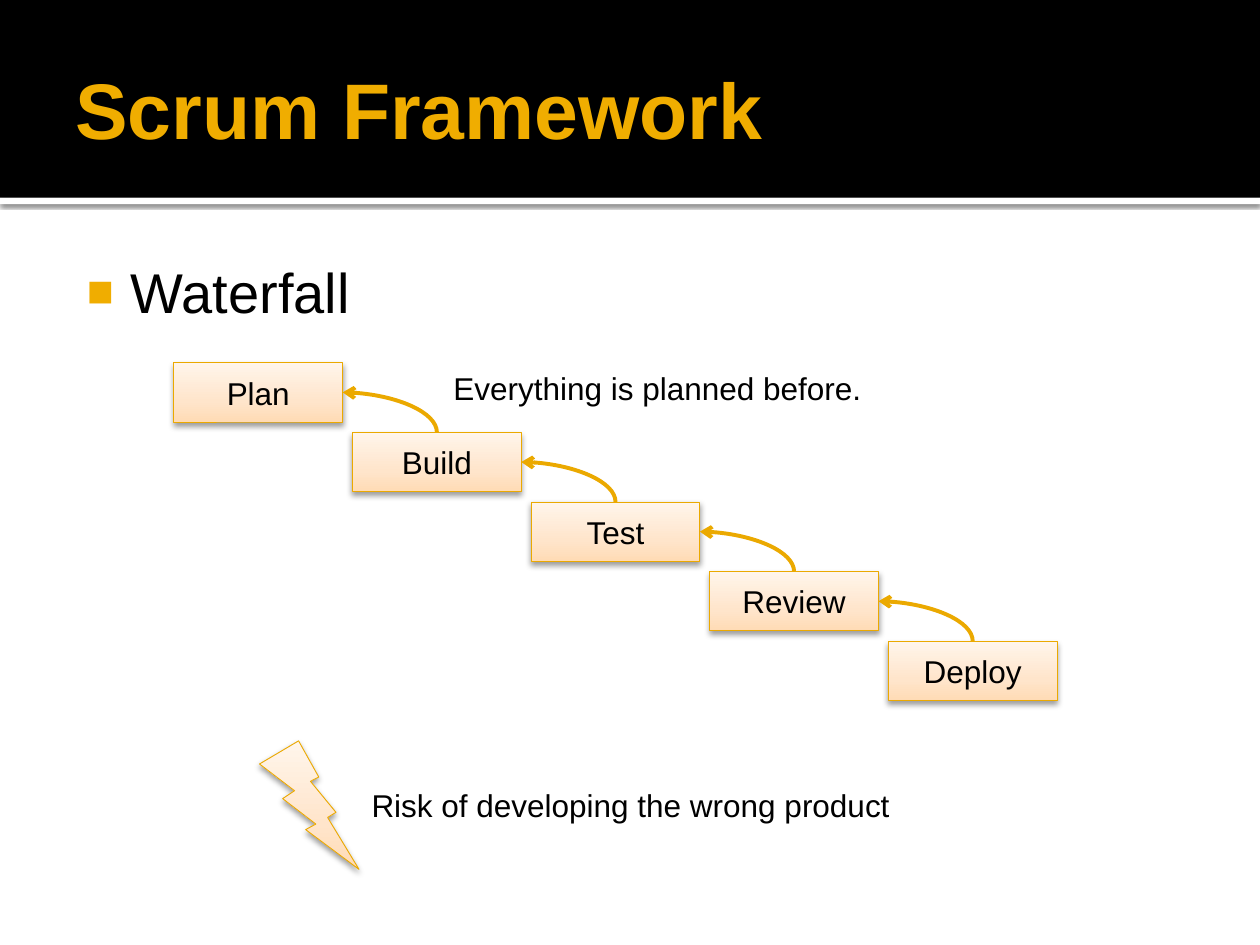
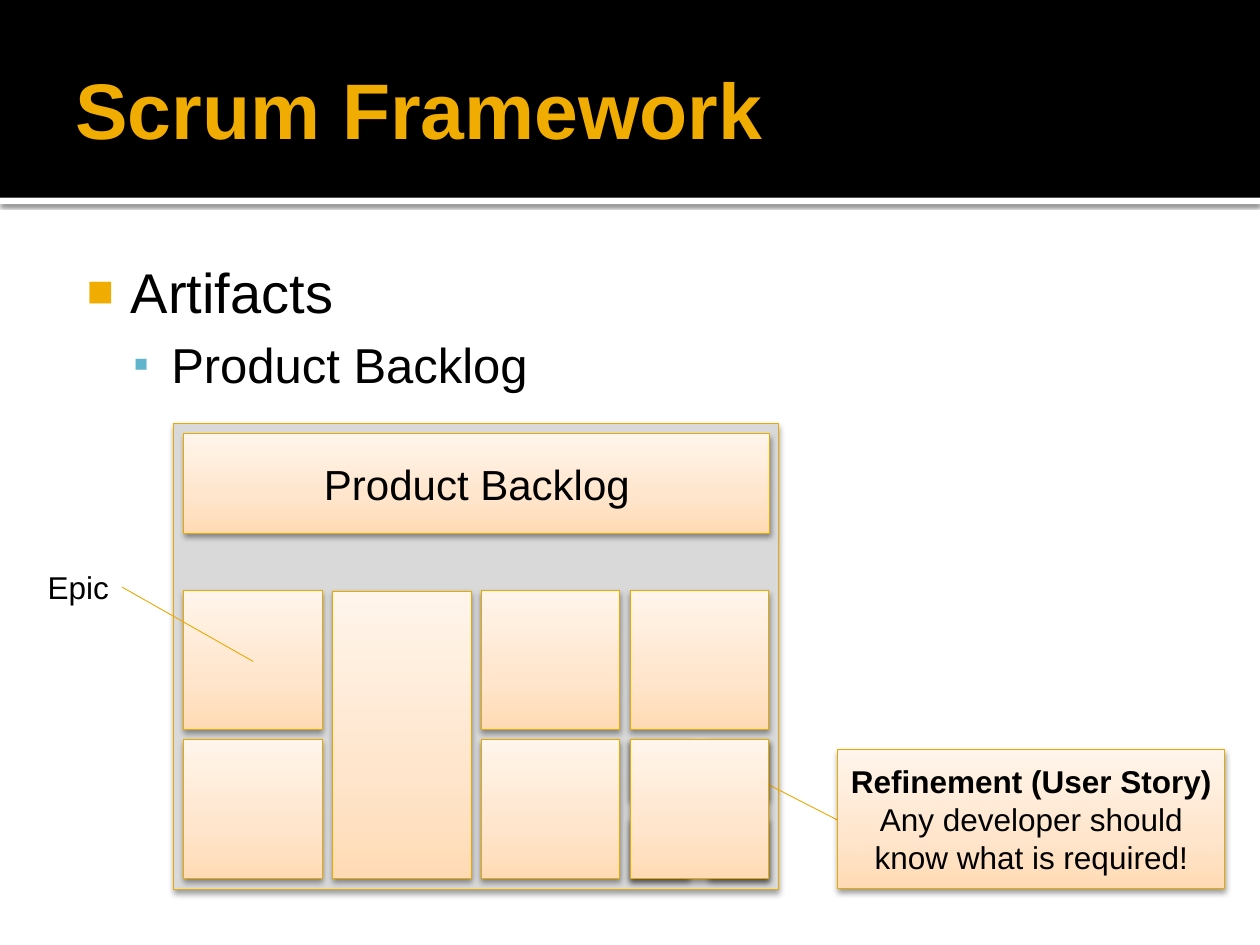
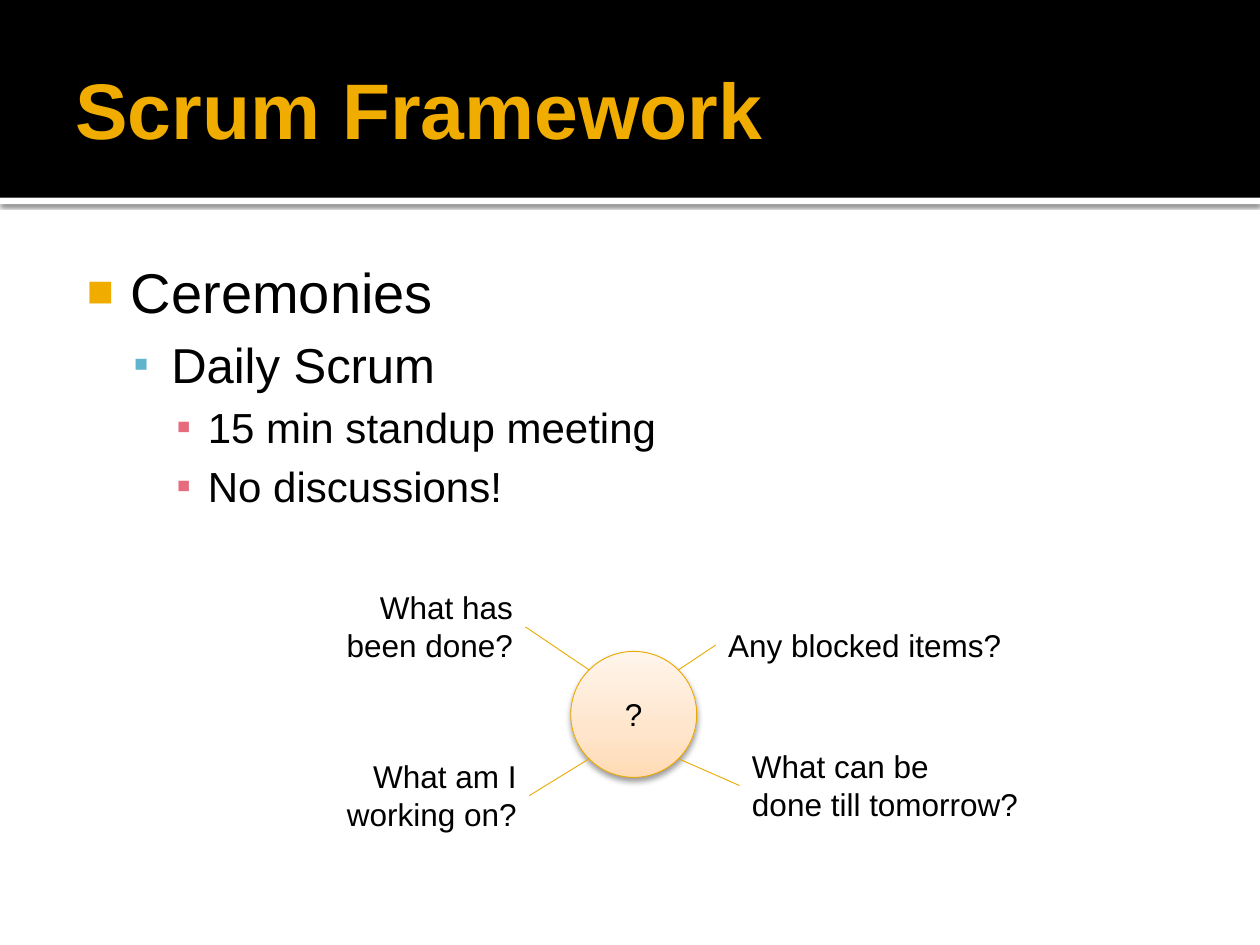
from typing import NamedTuple

from lxml import etree
from pptx import Presentation
from pptx import util as u
from pptx.dml.color import RGBColor
from pptx.enum import shapes, text
from pptx.oxml.ns import qn

COLORS = {
    "band": "000000",
    "text": "000000",
    "paper": "FFFFFF",
    "title": "F0AD00",
    "line": "EBA900",
    "panel": "D9D9D9",
    "level 1": "F0AD00",
    "level 2": "60B5CC",
    "level 3": "E66C7D",
}
CARD_GRADIENT = ((0, "FFDBB5"), (35, "FFE5CB"), (100, "FFF5EB"))
FONT = "Arial"
BODY_SIZE = 18

Preset = shapes.MSO_SHAPE
Align = text.PP_ALIGN
Anchor = text.MSO_ANCHOR


class Box(NamedTuple):
    left: float
    top: float
    width: float
    height: float

    def inches(self) -> list:
        return [u.Inches(value) for value in self]


class Point(NamedTuple):
    x: float
    y: float


class Shadow(NamedTuple):
    opacity: int
    blur: float
    distance: float


class Label(NamedTuple):
    box: Box
    words: str
    align: Align = Align.LEFT


class Level(NamedTuple):
    size: int
    margin: float
    indent: float
    space_before: int
    bullet: str
    bullet_size: int
    color: str


class Item(NamedTuple):
    level: int
    words: str


CARD_SHADOW = Shadow(38, 3.5, 2)
STRIP_SHADOW = Shadow(60, 2.5, 0.8)
LEVELS = (
    Level(32, 0.48, -0.35, 0, "■", 80, "level 1"),
    Level(28, 0.80, -0.30, 20, "▪", 90, "level 2"),
    Level(24, 1.09, -0.25, 20, "▪", 100, "level 3"),
)


def add_xml(parent, tag: str, **attributes):
    values = {name: str(value) for name, value in attributes.items()}
    return etree.SubElement(parent, qn(f"a:{tag}"), values)


def style_font(font, size: float, color: str = "text") -> None:
    font.name = FONT
    font.size = u.Pt(size)
    font.color.rgb = RGBColor.from_string(COLORS[color])


def cast_shadow(shape, shadow: Shadow) -> None:
    shape.shadow.inherit = False
    effects = shape._element.spPr.find(qn("a:effectLst"))
    outer = add_xml(effects, "outerShdw", blurRad=u.Pt(shadow.blur),
                    dist=u.Pt(shadow.distance), dir=90 * 60000, rotWithShape=0)
    color = add_xml(outer, "srgbClr", val=COLORS["band"])
    add_xml(color, "alpha", val=shadow.opacity * 1000)


def fill_gradient(shape) -> None:
    """Shade a shape from a dark foot to a light head."""
    shape.fill.gradient()
    shape.fill.gradient_angle = 90
    stops = shape._element.spPr.find(f".//{qn('a:gsLst')}")
    for stop in list(stops):
        stops.remove(stop)
    for position, color in CARD_GRADIENT:
        add_xml(add_xml(stops, "gs", pos=position * 1000), "srgbClr", val=color)


def fill_solid(shape, color: str) -> None:
    shape.fill.solid()
    shape.fill.fore_color.rgb = RGBColor.from_string(COLORS[color])


def style_line(line, width: float = 0.5) -> None:
    line.color.rgb = RGBColor.from_string(COLORS["line"])
    line.width = u.Pt(width)


def add_card(page, box: Box, words: str = "", size: float = BODY_SIZE,
             preset: Preset = Preset.RECTANGLE):
    card = page.shapes.add_shape(preset, *box.inches())
    fill_gradient(card)
    style_line(card.line)
    cast_shadow(card, CARD_SHADOW)
    card.text_frame.vertical_anchor = Anchor.MIDDLE
    para = card.text_frame.paragraphs[0]
    para.alignment = Align.CENTER
    style_font(para.font, size)
    if words:
        para.text = words
    return card


def add_label(page, label: Label) -> None:
    frame = page.shapes.add_textbox(*label.box.inches()).text_frame
    frame.word_wrap = False
    frame.auto_size = text.MSO_AUTO_SIZE.SHAPE_TO_FIT_TEXT
    para = frame.paragraphs[0]
    para.text = label.words
    para.alignment = label.align
    style_font(para.font, BODY_SIZE)


def add_line(page, start: Point, end: Point, width: float = 0.5,
             kind=shapes.MSO_CONNECTOR.STRAIGHT):
    ends = [u.Inches(value) for value in (*start, *end)]
    line = page.shapes.add_connector(kind, *ends)
    style_line(line.line, width)
    add_xml(line._element.spPr, "effectLst")
    return line


def add_return_arrow(page, start: Point, end: Point) -> None:
    """Curve up from start, then left into end."""
    middle = Point((start.x + end.x) / 2, (start.y + end.y) / 2)
    half_width, half_height = (start.y - end.y) / 2, (start.x - end.x) / 2
    # The connector is laid out upright and then turned a quarter to the left.
    arrow = add_line(page,
                     Point(middle.x - half_width, middle.y + half_height),
                     Point(middle.x + half_width, middle.y - half_height),
                     2.25, shapes.MSO_CONNECTOR.CURVE)
    properties = arrow._element.spPr
    properties.find(qn("a:xfrm")).set("rot", str(270 * 60000))
    properties.find(qn("a:prstGeom")).set("prst", "curvedConnector2")
    add_xml(properties.find(qn("a:ln")), "tailEnd", type="arrow")


def add_frame(page, box: Box, insets: tuple):
    frame = page.shapes.add_textbox(*box.inches()).text_frame
    frame.word_wrap = True
    (frame.margin_left, frame.margin_top,
     frame.margin_right, frame.margin_bottom) = map(u.Inches, insets)
    return frame


def add_outline(page, items: list[Item]) -> None:
    frame = add_frame(page, Box(0.5, 1.94, 9, 5.06), (0.06, 0.1, 0.1, 0.05))
    for index, item in enumerate(items):
        para = frame.add_paragraph() if index else frame.paragraphs[0]
        level = LEVELS[item.level]
        para.text = item.words
        para.level = item.level
        properties = para._p.get_or_add_pPr()
        properties.set("marL", str(u.Inches(level.margin)))
        properties.set("indent", str(u.Inches(level.indent)))
        before = add_xml(properties, "spcBef")
        add_xml(before, "spcPct", val=level.space_before * 1000)
        add_xml(add_xml(properties, "buClr"), "srgbClr", val=COLORS[level.color])
        add_xml(properties, "buSzPct", val=level.bullet_size * 1000)
        add_xml(properties, "buFont", typeface=FONT)
        add_xml(properties, "buChar", char=level.bullet)
        style_font(para.font, level.size)


def add_page(deck):
    """Add a blank page with the header band and the shared title."""
    page = deck.slides.add_slide(deck.slide_layouts[6])
    strip = page.shapes.add_shape(Preset.RECTANGLE, *Box(0, 1.57, 10, 0.05).inches())
    fill_solid(strip, "paper")
    cast_shadow(strip, STRIP_SHADOW)
    band = page.shapes.add_shape(Preset.RECTANGLE, *Box(0, 0, 10, 1.57).inches())
    fill_solid(band, "band")
    band.shadow.inherit = False
    for shape in (strip, band):
        shape.line.fill.background()

    frame = add_frame(page, Box(0.5, 0.17, 9, 1.37), (0.1, 0.05, 0.05, 0.05))
    frame.vertical_anchor = Anchor.MIDDLE
    title = frame.paragraphs[0]
    title.text = "Scrum Framework"
    style_font(title.font, 45, "title")
    title.font.bold = True
    return page


def build_waterfall(deck) -> None:
    page = add_page(deck)
    add_outline(page, [Item(0, "Waterfall")])
    phases = ("Plan", "Build", "Test", "Review", "Deploy")
    step_x, step_y = (7.05 - 1.38) / 4, (5.09 - 2.88) / 4
    boxes = [Box(1.38 + i * step_x, 2.88 + i * step_y, 1.34, 0.47)
             for i in range(len(phases))]
    for box, phase in zip(boxes, phases):
        add_card(page, box, phase)
    for earlier, later in zip(boxes, boxes[1:]):
        add_return_arrow(
            page,
            Point(later.left + later.width / 2, later.top),
            Point(earlier.left + earlier.width, earlier.top + earlier.height / 2))
    add_card(page, Box(2.06, 5.88, 0.79, 1.02), preset=Preset.LIGHTNING_BOLT)
    add_label(page, Label(Box(2.85, 6.19, 4.35, 0.4),
                          "Risk of developing the wrong product"))
    add_label(page, Label(Box(3.5, 2.88, 3.47, 0.4),
                          "Everything is planned before."))


def build_backlog(deck) -> None:
    page = add_page(deck)
    panel = page.shapes.add_shape(Preset.RECTANGLE, *Box(1.38, 3.36, 4.8, 3.7).inches())
    fill_solid(panel, "panel")
    style_line(panel.line)
    cast_shadow(panel, CARD_SHADOW)
    add_outline(page, [Item(0, "Artifacts"), Item(1, "Product Backlog")])
    add_card(page, Box(1.46, 3.44, 4.65, 0.79), "Product Backlog", 24)

    tile, pitch = 1.1, 1.18
    left, top = 1.46, 4.69
    story = Box(left + 3 * pitch, top + pitch, tile, tile)
    tall_column = 1
    for row in range(2):
        for column in range(4):
            box = Box(left + column * pitch, top + row * pitch, tile, tile)
            if column == tall_column:
                if row == 0:
                    add_card(page, box._replace(height=pitch + tile))
            elif box != story:
                add_card(page, box)
    small, small_pitch = 0.47, 0.63
    for row in range(2):
        for column in range(2):
            add_card(page, Box(story.left + column * small_pitch,
                               story.top + row * small_pitch, small, small))

    add_line(page, Point(2.01, 5.25), Point(0.97, 4.66))
    add_label(page, Label(Box(0.28, 4.46, 0.69, 0.4), "Epic"))
    add_line(page, Point(6.65, 6.51), Point(5.87, 6.11))
    add_card(page, story)
    refinement = add_card(page, Box(6.65, 5.95, 3.07, 1.1))
    para = refinement.text_frame.paragraphs[0]
    heading = para.add_run()
    heading.text = "Refinement (User Story)"
    heading.font.bold = True
    para.add_line_break()
    para.add_run().text = "Any developer should know what is required!"


def build_daily_scrum(deck) -> None:
    page = add_page(deck)
    add_outline(page, [
        Item(0, "Ceremonies"),
        Item(1, "Daily Scrum"),
        Item(2, "15 min standup meeting"),
        Item(2, "No discussions!"),
    ])
    add_card(page, Box(4.53, 5.17, 1, 1), "?", preset=Preset.OVAL)
    questions = (
        Label(Box(2.64, 4.62, 1.53, 0.71), "What has\nbeen done?", Align.RIGHT),
        Label(Box(2.64, 5.96, 1.56, 0.71), "What am I\nworking on?", Align.RIGHT),
        Label(Box(5.87, 5.88, 2.33, 0.71), "What can be\ndone till tomorrow?"),
        Label(Box(5.68, 4.92, 2.39, 0.4), "Any blocked items?"),
    )
    center, reach = Point(5.03, 5.67), 0.35
    for question in questions:
        add_label(page, question)
        box = question.box
        on_left = box.left < center.x
        middle = box.top + box.height / 2
        rim = Point(center.x + (-reach if on_left else reach),
                    center.y + (-reach if middle < center.y else reach))
        add_line(page, rim, Point(box.left + (box.width if on_left else 0), middle))


def main() -> None:
    deck = Presentation()
    deck.slide_width, deck.slide_height = u.Inches(10), u.Inches(7.5)
    build_waterfall(deck)
    build_backlog(deck)
    build_daily_scrum(deck)
    deck.save("out.pptx")


if __name__ == "__main__":
    main()
